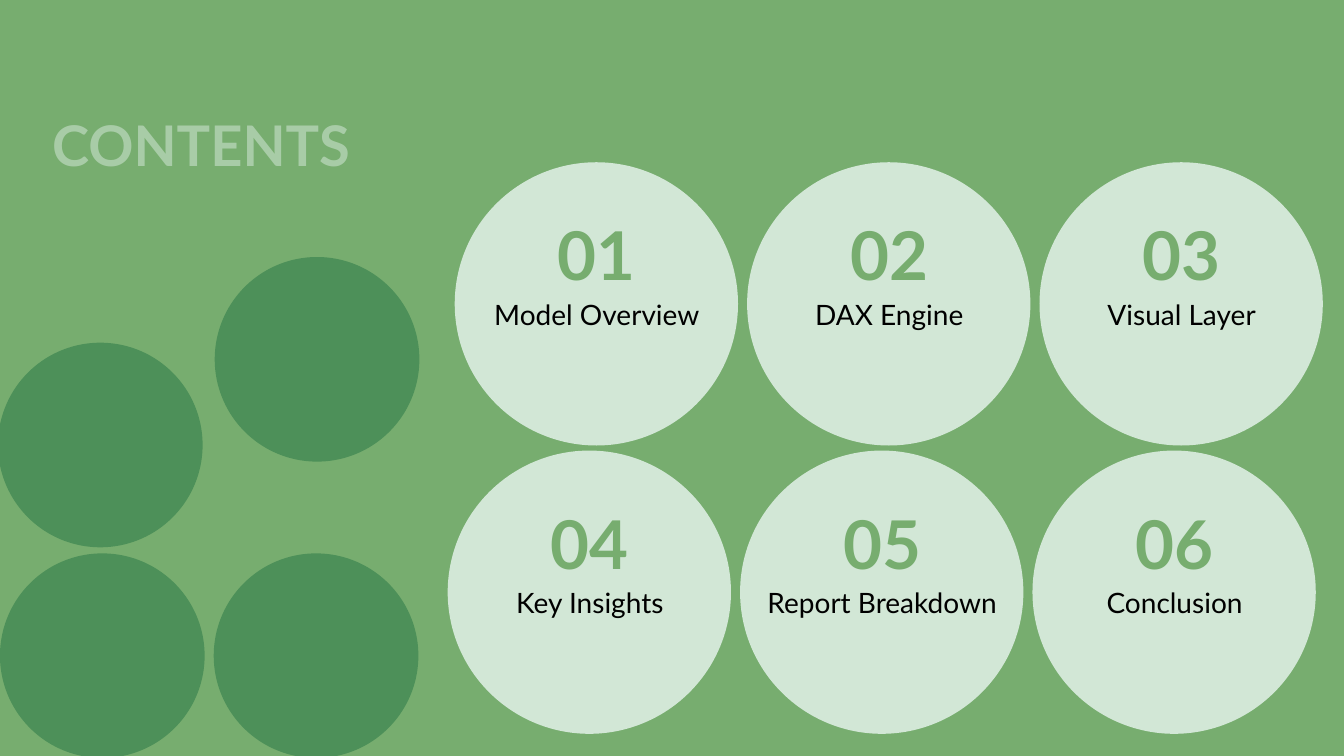
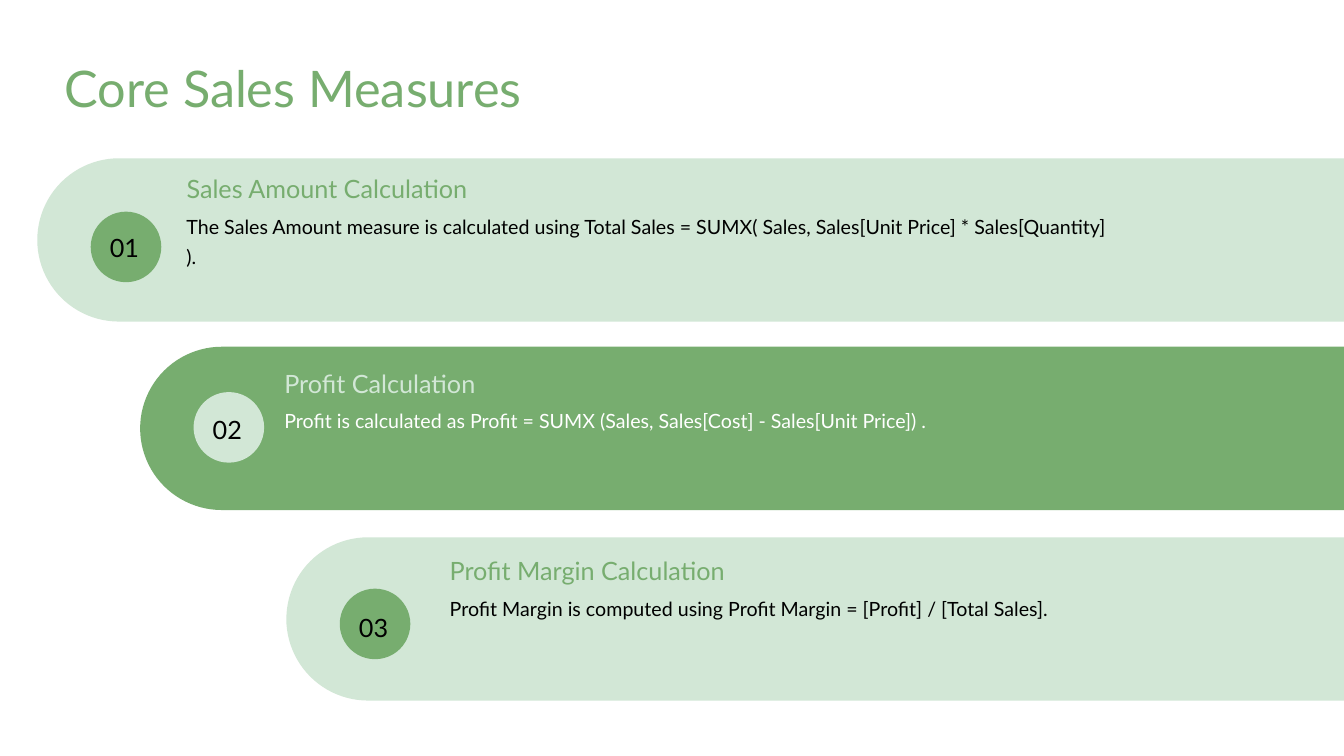
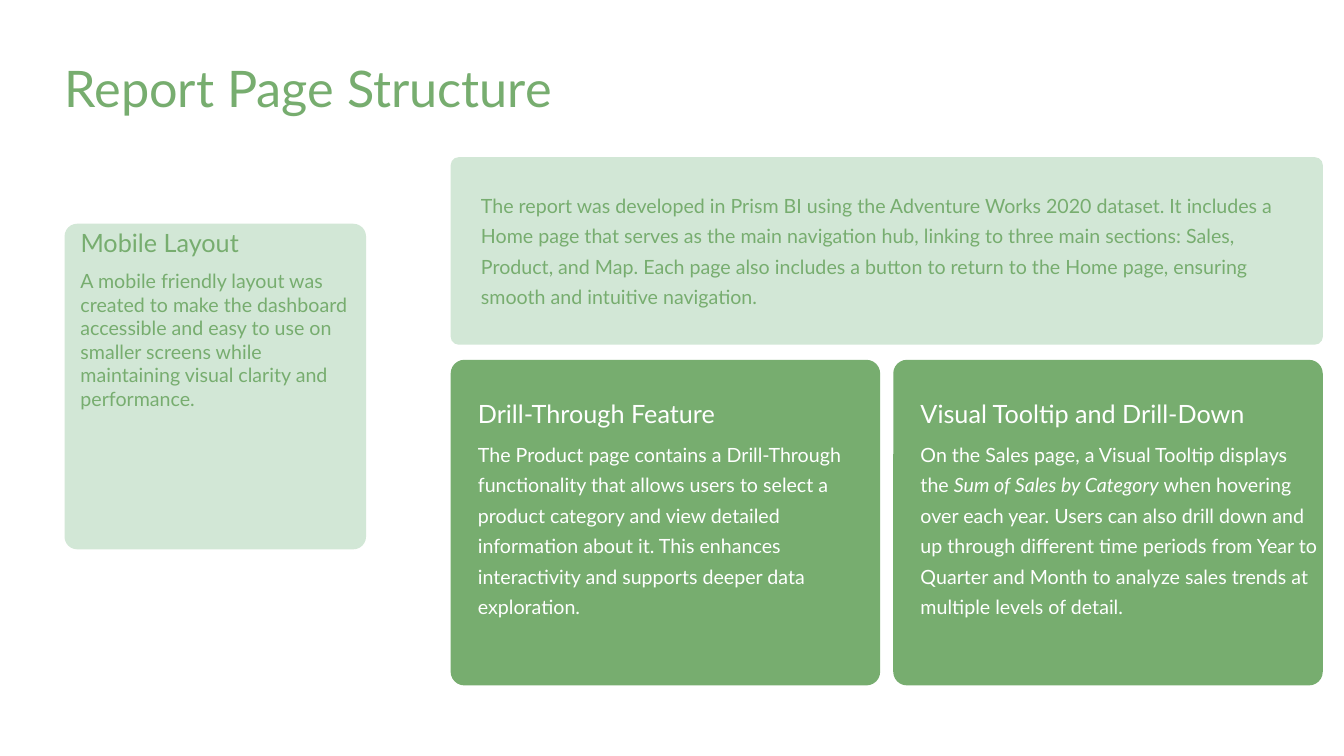
from dataclasses import dataclass

from lxml import etree
from pptx import Presentation
from pptx.dml.color import RGBColor
from pptx.enum.shapes import MSO_SHAPE
from pptx.enum.text import MSO_ANCHOR, PP_ALIGN
from pptx.oxml.ns import qn
from pptx.util import Inches, Pt

OVAL = MSO_SHAPE.OVAL
ROUNDED = MSO_SHAPE.ROUNDED_RECTANGLE
ROUND_TOP = MSO_SHAPE.ROUND_2_SAME_RECTANGLE
TOP, MIDDLE = MSO_ANCHOR.TOP, MSO_ANCHOR.MIDDLE
LEFT, CENTER = PP_ALIGN.LEFT, PP_ALIGN.CENTER

SLIDE_W, SLIDE_H = 13.33, 7.5


@dataclass(frozen=True)
class Theme:
    font: str = "Lato"
    green: str = "77AD6F"
    pale: str = "D2E7D6"
    deep: str = "4D9059"
    black: str = "000000"
    white: str = "FFFFFF"
    cover: int = 40
    title: int = 36
    number: int = 48
    label: int = 20
    heading: int = 18
    body: int = 14
    body_spacing: float = 1.3
    number_spacing: float = 1.1
    corner: float = 0.042


THEME = Theme()
NO_INSET = (0, 0)
THIN_INSET = (0.05, 0.05)
USUAL_INSET = (0.1, 0.05)


class Deck:
    def __init__(self):
        self.prs = Presentation()
        self.prs.slide_width = Inches(SLIDE_W)
        self.prs.slide_height = Inches(SLIDE_H)
        self.slide = None

    def new_slide(self, background):
        self.slide = self.prs.slides.add_slide(self.prs.slide_layouts[6])
        fill = self.slide.background.fill
        fill.solid()
        fill.fore_color.rgb = RGBColor.from_string(background)

    def shape(self, preset, left, top, width, height, color):
        shape = self.slide.shapes.add_shape(
            preset, Inches(left), Inches(top), Inches(width), Inches(height))
        shape.shadow.inherit = False
        shape.fill.solid()
        shape.fill.fore_color.rgb = RGBColor.from_string(color)
        shape.line.fill.background()
        return shape

    def circle(self, left, top, size, color):
        self.shape(OVAL, left, top, size, size, color)

    def card(self, left, top, width, height, color):
        card = self.shape(ROUNDED, left, top, width, height, color)
        card.adjustments[0] = THEME.corner

    def band(self, left, top, height, color):
        """Draw a band with a round left end that runs to the right slide edge."""
        length = SLIDE_W - left
        band = self.shape(ROUND_TOP, left + (length - height) / 2,
                          top + (height - length) / 2, height, length, color)
        band.rotation = 270
        band.adjustments[0] = 0.5
        band.adjustments[1] = 0

    def text(self, runs, left, top, width, height, size, color, inset=THIN_INSET,
             align=LEFT, anchor=TOP, spacing=None, bold=False, opacity=None):
        """Add one paragraph; runs is a string or a list of (text, italic) pairs."""
        frame = self.slide.shapes.add_textbox(
            Inches(left), Inches(top), Inches(width), Inches(height)).text_frame
        frame.word_wrap = True
        frame.vertical_anchor = anchor
        frame.margin_left = frame.margin_right = Inches(inset[0])
        frame.margin_top = frame.margin_bottom = Inches(inset[1])
        paragraph = frame.paragraphs[0]
        paragraph.alignment = align
        if spacing:
            paragraph.line_spacing = spacing
        for words, italic in [(runs, False)] if isinstance(runs, str) else runs:
            run = paragraph.add_run()
            run.text = words
            font = run.font
            font.name, font.size = THEME.font, Pt(size)
            font.bold, font.italic = bold, italic
            font.color.rgb = RGBColor.from_string(color)
            if opacity:
                for tone in run._r.iter(qn("a:srgbClr")):
                    etree.SubElement(tone, qn("a:alpha"), val=str(opacity * 1000))

    def title(self, words, width, height):
        self.text(words, 0.64, 0.57, width, height, THEME.title, THEME.green, NO_INSET)

    def heading(self, words, left, top, width, height, color, **style):
        self.text(words, left, top, width, height, THEME.heading, color, **style)

    def body(self, runs, left, top, width, height, color,
             spacing=THEME.body_spacing, **style):
        self.text(runs, left, top, width, height, THEME.body, color,
                  spacing=spacing, **style)


def contents_slide(deck):
    deck.new_slide(THEME.green)
    for left, top in [(0, 5.49), (-0.02, 3.4), (2.12, 5.49), (2.13, 2.55)]:
        deck.circle(left, top, 2.03, THEME.deep)
    deck.text("CONTENTS", 0.42, 1.05, 4.7, 0.67, THEME.cover, THEME.pale,
              USUAL_INSET, bold=True, opacity=55)
    topics = ["Model Overview", "DAX Engine", "Visual Layer",
              "Key Insights", "Report Breakdown", "Conclusion"]
    row_starts = [(4.51, 1.61), (4.44, 4.47)]
    for index, topic in enumerate(topics):
        row, column = divmod(index, 3)
        left, top = row_starts[row]
        left += 2.9 * column
        deck.circle(left, top, 2.81, THEME.pale)
        deck.text(f"{index + 1:02}", left + 0.08, top + 0.51, 2.66, 0.92,
                  THEME.number, THEME.green, NO_INSET, CENTER, bold=True)
        deck.text(topic, left + 0.08, top + 1.34, 2.66, 0.92,
                  THEME.label, THEME.black, NO_INSET, CENTER)


def measures_slide(deck):
    deck.new_slide(THEME.white)
    deck.title("Core Sales Measures", 12.01, 1.05)
    light = (THEME.pale, THEME.green, THEME.green, THEME.black)
    dark = (THEME.green, THEME.pale, THEME.pale, THEME.white)
    # band left and top, badge top, number top, text left and top, body width
    measures = [
        (0.37, 1.57, 2.1, 2.27, 1.8, 1.67, 9.23, light, "Sales Amount Calculation",
         "The Sales Amount measure is calculated using Total Sales = "
         "SUMX( Sales, Sales[Unit Price] * Sales[Quantity] )."),
        (1.39, 3.44, 3.89, 4.08, 2.77, 3.6, 9.31, dark, "Profit Calculation",
         "Profit is calculated as Profit = SUMX (Sales, Sales[Cost] - Sales[Unit Price]) ."),
        (2.84, 5.33, 5.84, 6.04, 4.41, 5.46, 8.49, light, "Profit Margin Calculation",
         "Profit Margin is computed using Profit Margin = [Profit] / [Total Sales]."),
    ]
    for number, measure in enumerate(measures, 1):
        (left, top, badge_top, number_top, text_left, text_top, body_width,
         (band_color, badge_color, heading_color, body_color), name, formula) = measure
        deck.band(left, top, 1.62, band_color)
        deck.circle(left + 0.53, badge_top, 0.7, badge_color)
        deck.text(f"{number:02}", left + 0.5, number_top, 0.73, 0.32, THEME.heading,
                  THEME.black, NO_INSET, CENTER, spacing=THEME.number_spacing)
        deck.heading(name, text_left, text_top, 8.49, 0.3, heading_color)
        deck.body(formula, text_left, text_top + 0.34, body_width, 0.31, body_color)


def structure_slide(deck):
    deck.new_slide(THEME.white)
    deck.title("Report Page Structure", 8.94, 0.62)

    deck.card(4.47, 1.56, 8.65, 1.86, THEME.pale)
    deck.body("The report was developed in Prism BI using the Adventure Works 2020 "
              "dataset. It includes a Home page that serves as the main navigation hub, "
              "linking to three main sections: Sales, Product, and Map. Each page also "
              "includes a button to return to the Home page, ensuring smooth and "
              "intuitive navigation.", 4.72, 1.8, 8.15, 1.38, THEME.green)

    features = [
        ("Drill-Through Feature",
         "The Product page contains a Drill-Through functionality that allows users to "
         "select a product category and view detailed information about it. This "
         "enhances interactivity and supports deeper data exploration."),
        ("Visual Tooltip and Drill-Down",
         [("On the Sales page, a Visual Tooltip displays the ", False),
          ("Sum of Sales by Category", True),
          (" when hovering over each year. Users can also drill down and up through "
           "different time periods from Year to Quarter and Month to analyze sales "
           "trends at multiple levels of detail.", False)]),
    ]
    for column, (name, details) in enumerate(features):
        left = 4.47 + 4.39 * column
        deck.card(left, 3.57, 4.26, 3.23, THEME.green)
        deck.heading(name, left + 0.22, 3.68, 3.9, 0.84, THEME.white, anchor=MIDDLE)
        deck.body(details, left + 0.22, 4.27, 4.04, 2.78, THEME.white)

    deck.card(0.64, 2.22, 2.99, 3.23, THEME.pale)
    deck.heading("Mobile Layout", 0.7, 2.21, 2.11, 0.87, THEME.green, inset=USUAL_INSET)
    deck.body("A mobile friendly layout was created to make the dashboard accessible and "
              "easy to use on smaller screens while maintaining visual clarity and "
              "performance.", 0.7, 2.62, 2.93, 1.13, THEME.green,
              spacing=None, inset=USUAL_INSET)


def main():
    deck = Deck()
    contents_slide(deck)
    measures_slide(deck)
    structure_slide(deck)
    deck.prs.save("out.pptx")


if __name__ == "__main__":
    main()
